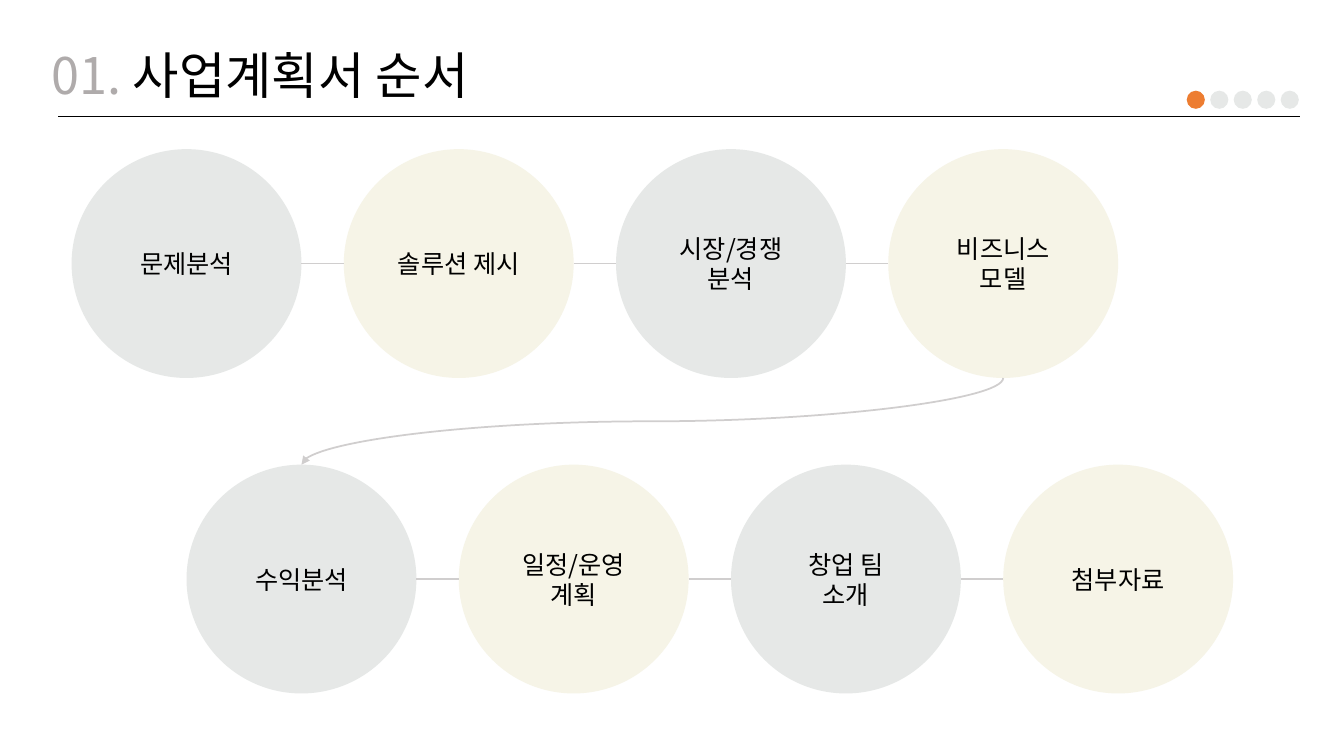
from lxml.etree import SubElement
from pptx import Presentation
from pptx.dml.color import RGBColor
from pptx.enum.shapes import MSO_CONNECTOR, MSO_SHAPE
from pptx.enum.text import MSO_ANCHOR, PP_ALIGN
from pptx.oxml.ns import qn
from pptx.util import Inches, Pt

FONT = "Noto Sans CJK KR"
BLACK = RGBColor(0x00, 0x00, 0x00)
NUMBER_GRAY = RGBColor(0xAF, 0xAB, 0xAB)
LINK_GRAY = RGBColor(0xD0, 0xCE, 0xCE)
GRAY = RGBColor(0xE6, 0xE8, 0xE7)
CREAM = RGBColor(0xF6, 0xF4, 0xE7)
ORANGE = RGBColor(0xED, 0x7D, 0x31)

STEP_W, STEP_H, PITCH = 2.28, 2.27, 2.7
FIRST_ROW = ["문제분석", "솔루션 제시", "시장/경쟁\n분석", "비즈니스\n모델"]
SECOND_ROW = ["수익분석", "일정/운영\n계획", "창업 팀\n소개", "첨부자료"]


def add_run(p, text, size, color):
    """Append a run in the slide font for Latin and Korean text."""
    r = p.add_run()
    r.text = text
    for name, value in {"name": FONT, "size": Pt(size), "bold": False}.items():
        setattr(r.font, name, value)
    r.font.color.rgb = color
    SubElement(r.font._element, qn("a:ea"), typeface=FONT)


def add_title(s, left, top, width, height):
    """Fill the title placeholder with the section number and heading."""
    sp = s.shapes.title
    box = {"left": left, "top": top, "width": width, "height": height}
    for name, value in box.items():
        setattr(sp, name, Inches(value))
    tf = sp.text_frame
    tf.word_wrap = False
    tf.vertical_anchor = MSO_ANCHOR.TOP
    p = tf.paragraphs[0]
    p.alignment = PP_ALIGN.LEFT
    add_run(p, "01. ", 36, NUMBER_GRAY)
    add_run(p, "사업계획서 순서", 36, BLACK)


def add_line(s, x1, y1, x2, y2, color, width, kind=MSO_CONNECTOR.STRAIGHT):
    """Draw a connector without a shadow."""
    c = s.shapes.add_connector(kind, *map(Inches, (x1, y1, x2, y2)))
    c.line.color.rgb = color
    c.line.width = Pt(width)
    SubElement(c._element.spPr, qn("a:effectLst"))
    return c


def add_circle(s, left, top, width, height, color):
    """Draw a plain filled ellipse."""
    sp = s.shapes.add_shape(
        MSO_SHAPE.OVAL, *map(Inches, (left, top, width, height)))
    sp.shadow.inherit = False
    sp.fill.solid()
    sp.fill.fore_color.rgb = color
    sp.line.fill.background()
    return sp


def add_progress(s, left, top, size, pitch, count):
    """Draw the row of page dots with the first one active."""
    for i in range(count):
        add_circle(s, left + i * pitch, top, size, size, GRAY if i else ORANGE)


def add_step_row(s, left, top, labels):
    """Draw a row of labelled circles joined by short lines."""
    for i, label in enumerate(labels):
        x = left + i * PITCH
        sp = add_circle(s, x, top, STEP_W, STEP_H, CREAM if i % 2 else GRAY)
        tf = sp.text_frame
        tf.word_wrap = True
        tf.vertical_anchor = MSO_ANCHOR.MIDDLE
        for j, text in enumerate(label.split("\n")):
            p = tf.add_paragraph() if j else tf.paragraphs[0]
            p.alignment = PP_ALIGN.CENTER
            add_run(p, text, 18, BLACK)
        if i:
            y = top + STEP_H / 2
            add_line(s, x - PITCH + STEP_W, y, x, y, LINK_GRAY, 1.25)


def add_row_link(s, x1, y1, x2, y2):
    """Draw a curved arrow that leaves downwards and arrives downwards."""
    mid_x, mid_y = (x1 + x2) / 2, (y1 + y2) / 2
    half_w, half_h = (y2 - y1) / 2, (x1 - x2) / 2
    c = add_line(s, mid_x - half_w, mid_y - half_h, mid_x + half_w,
                 mid_y + half_h, LINK_GRAY, 1.25, MSO_CONNECTOR.CURVE)
    c._element.spPr.find(qn("a:xfrm")).set("rot", "5400000")
    SubElement(c.line._get_or_add_ln(), qn("a:tailEnd"), type="triangle")


def build_order_slide(prs):
    """Build the business plan order slide."""
    s = prs.slides.add_slide(prs.slide_layouts[5])
    add_title(s, 0.41, 0.39, 4.86, 0.71)
    add_line(s, 0.58, 1.15, 12.89, 1.15, BLACK, 0.5)
    add_progress(s, 11.77, 0.9, 0.18, 0.233, 5)
    left1, top1, left2, top2 = 0.71, 1.48, 1.85, 4.61
    add_step_row(s, left1, top1, FIRST_ROW)
    add_step_row(s, left2, top2, SECOND_ROW)
    last_x = left1 + (len(FIRST_ROW) - 1) * PITCH
    add_row_link(s, last_x + STEP_W / 2, top1 + STEP_H,
                 left2 + STEP_W / 2, top2)


def main():
    """Create and save the presentation."""
    prs = Presentation()
    prs.slide_width, prs.slide_height = Inches(13.33), Inches(7.5)
    build_order_slide(prs)
    prs.save("out.pptx")


if __name__ == "__main__":
    main()
